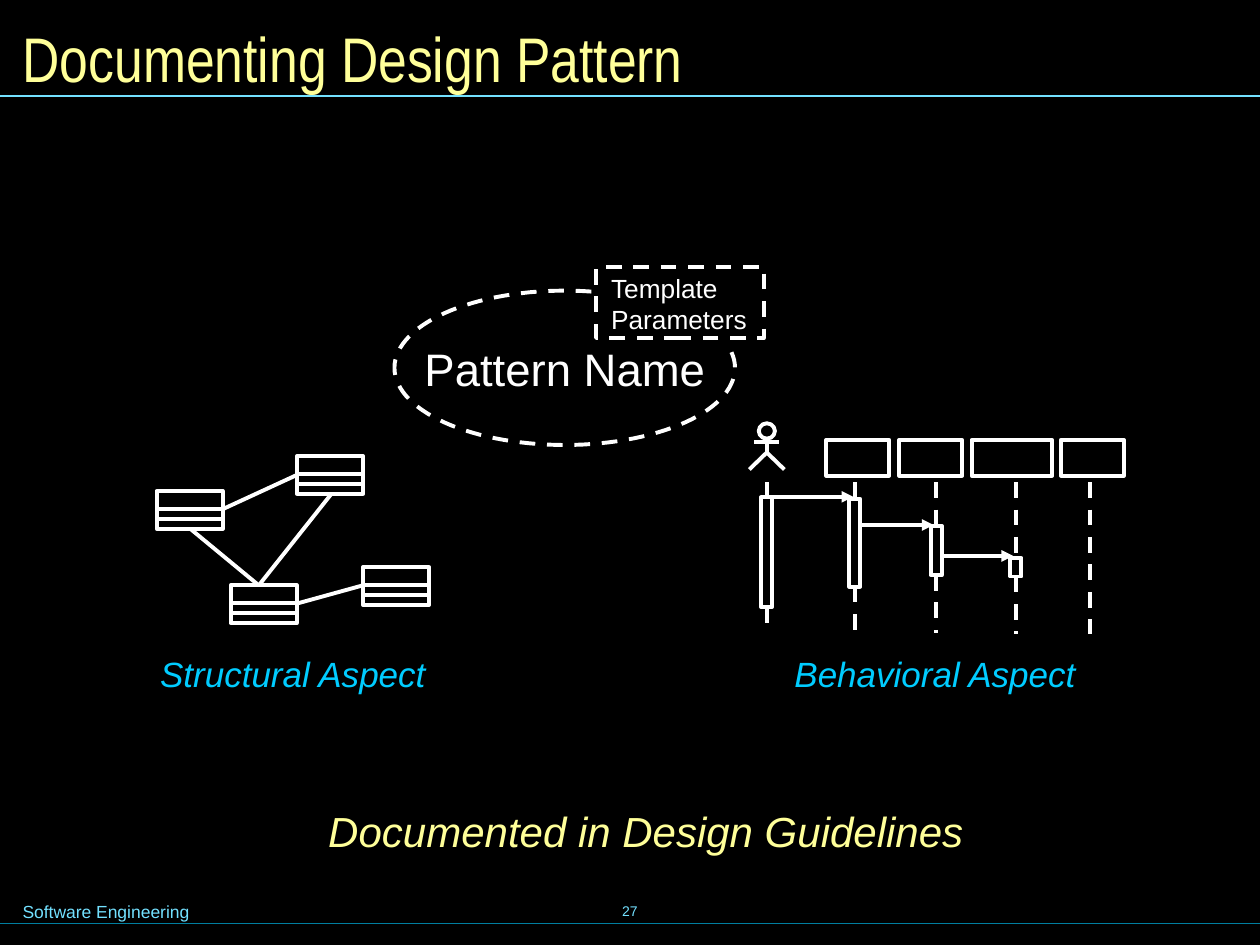
from math import cos, radians, sin

from lxml.etree import SubElement
from pptx import Presentation
from pptx.dml.color import RGBColor
from pptx.enum.dml import MSO_LINE
from pptx.enum.shapes import MSO_CONNECTOR, MSO_SHAPE
from pptx.enum.text import MSO_ANCHOR, PP_ALIGN
from pptx.oxml.ns import qn
from pptx.util import Pt

WHITE, YELLOW, CYAN, SKY, TEAL = "FFFFFF", "FFFF99", "00CCFF", "73E1FF", "007E9F"


def color(value):
    """Turn a hex string into a colour."""
    return RGBColor.from_string(value)


def style_line(line, shade=WHITE, width=2.25, dashed=False):
    """Set colour, width and dash of an outline."""
    line.color.rgb = color(shade)
    line.width = Pt(width)
    if dashed:
        line.dash_style = MSO_LINE.DASH


def add_line(page, x1, y1, x2, y2, shade=WHITE, width=2.25, dashed=False, arrow=False):
    """Draw a straight line, with an arrowhead at its end if wanted."""
    connector = page.shapes.add_connector(MSO_CONNECTOR.STRAIGHT, Pt(x1), Pt(y1), Pt(x2), Pt(y2))
    style_line(connector.line, shade, width, dashed)
    properties = connector._element.spPr
    if arrow:
        SubElement(properties.find(qn("a:ln")), qn("a:tailEnd"), type="triangle")
    SubElement(properties, qn("a:effectLst"))


def add_outline(page, left, top, width, height, kind=MSO_SHAPE.RECTANGLE, dashed=False):
    """Draw an unfilled preset shape."""
    shape = page.shapes.add_shape(kind, Pt(left), Pt(top), Pt(width), Pt(height))
    shape.shadow.inherit = False
    shape.fill.background()
    style_line(shape.line, dashed=dashed)


def add_path(page, points, dashed=False):
    """Draw an open path through points."""
    corners = [(Pt(x), Pt(y)) for x, y in points]
    builder = page.shapes.build_freeform(*corners[0])
    builder.add_line_segments(corners[1:], close=False)
    path = builder.convert_to_shape()
    path.shadow.inherit = False
    path.fill.background()
    style_line(path.line, dashed=dashed)


def add_text(page, left, top, width, height, lines, size, shade, font="Arial", italic=False,
             align=PP_ALIGN.LEFT, anchor=MSO_ANCHOR.TOP, wrap=True, inset=7.2):
    """Add a text box holding one paragraph of one or more lines."""
    box = page.shapes.add_textbox(Pt(left), Pt(top), Pt(width), Pt(height))
    frame = box.text_frame
    frame.word_wrap = wrap
    frame.vertical_anchor = anchor
    frame.margin_left = frame.margin_right = Pt(inset)
    frame.margin_top = frame.margin_bottom = Pt(inset / 2)
    para = frame.paragraphs[0]
    para.alignment = align
    for index, line in enumerate(lines):
        if index:
            para.add_line_break()
        span = para.add_run()
        span.text = line
        span.font.name = font
        span.font.size = Pt(size)
        span.font.italic = italic
        span.font.color.rgb = color(shade)


def add_class(page, left, top):
    """Draw a class box with three compartments."""
    width = 37.8
    add_outline(page, left, top, width, 21.6)
    for offset in (10.3, 15.9):
        add_line(page, left, top + offset, left + width, top + offset)


def add_frame(page):
    """Draw the title, footer and rules."""
    add_text(page, 5.8, 5.8, 708.5, 54, ["Documenting Design Pattern"], 36, YELLOW,
             font="Arial Narrow", anchor=MSO_ANCHOR.MIDDLE)
    add_line(page, 0, 54.9, 720, 54.9, SKY, 0.75)
    add_line(page, 0, 527.8, 720, 527.8, TEAL, 0.75)
    add_text(page, 5.8, 511.2, 212.4, 19.4, ["Software Engineering"], 10, SKY)
    add_text(page, 246, 502.6, 228, 36, ["27"], 8, SKY, align=PP_ALIGN.CENTER,
             anchor=MSO_ANCHOR.MIDDLE, wrap=False)


def add_pattern(page):
    """Draw the pattern ellipse with its template parameters."""
    angles = [radians(angle) for angle in range(279, -21, -3)]
    add_path(page, [(322.7 + 97.3 * cos(a), 210.2 + 44.1 * sin(a)) for a in angles], dashed=True)
    add_text(page, 235.4, 191.5, 175, 38.9, ["Pattern Name"], 26, WHITE,
             align=PP_ALIGN.CENTER, wrap=False)
    add_outline(page, 340.6, 152.6, 95.9, 40.5, dashed=True)
    add_text(page, 340.6, 151.2, 124.6, 44.6, ["Template", "Parameters"], 15, WHITE, inset=8.64)


def add_structure(page):
    """Draw the class diagram."""
    for left, top in ((89.5, 280.6), (169.7, 260.6), (131.8, 334.5), (207.4, 324.2)):
        add_class(page, left, top)
    for ends in ((147.9, 334.5, 109, 302.4), (127.4, 290.9, 169.7, 271.4),
                 (169.7, 344.9, 207.4, 334.5), (147.9, 334.5, 189.4, 282.2)):
        add_line(page, *ends)
    add_text(page, 83.5, 369.4, 167.8, 31.7, ["Structural Aspect"], 20, CYAN,
             italic=True, align=PP_ALIGN.CENTER)


def add_actor(page, center):
    """Draw the stick figure."""
    add_outline(page, center - 4.6, 241.9, 9.2, 8.8, MSO_SHAPE.OVAL)
    add_line(page, center, 250.6, center, 258.6)
    add_line(page, center - 7.2, 252.8, center + 7.2, 252.8)
    add_path(page, [(center - 10, 268.3), (center, 258.6), (center + 10, 268.3)])


def add_behavior(page):
    """Draw the sequence diagram."""
    add_actor(page, 438.2)
    for left, width in ((472.1, 36), (513.8, 36), (555.2, 46), (606.2, 36)):
        add_outline(page, left, 251.4, width, 20.4)
    for center, top, height, bottom in ((438.1, 284.2, 62.6, 362.2), (488.4, 285, 50.2, 362.2),
                                        (535, 300.5, 28.1, 361.6), (580.5, 318.9, 10.6, 362.2)):
        add_line(page, center, 275.5, center, top, dashed=True)
        add_outline(page, center - 3.2, top, 6.4, height)
        add_line(page, center, top + height, center, bottom, dashed=True)
    add_line(page, 623, 275.5, 623, 362.2, dashed=True)
    for start, end, level in ((438, 487.6, 283.9), (491.2, 533.5, 300), (539.1, 579, 317.7)):
        add_line(page, start, level, end, level, arrow=True)
    add_text(page, 437.8, 369.4, 193, 31.7, ["Behavioral Aspect"], 20, CYAN,
             italic=True, align=PP_ALIGN.CENTER)


def main():
    """Build the slide and save it."""
    deck = Presentation()
    deck.slide_width, deck.slide_height = Pt(720), Pt(540)
    page = deck.slides.add_slide(deck.slide_layouts[6])
    page.background.fill.solid()
    page.background.fill.fore_color.rgb = color("000000")
    add_frame(page)
    add_structure(page)
    add_pattern(page)
    add_behavior(page)
    add_text(page, 162, 455.8, 414, 37.4, ["Documented in Design Guidelines"], 24, YELLOW,
             italic=True, align=PP_ALIGN.CENTER, inset=8.64)
    deck.save("out.pptx")


if __name__ == "__main__":
    main()
